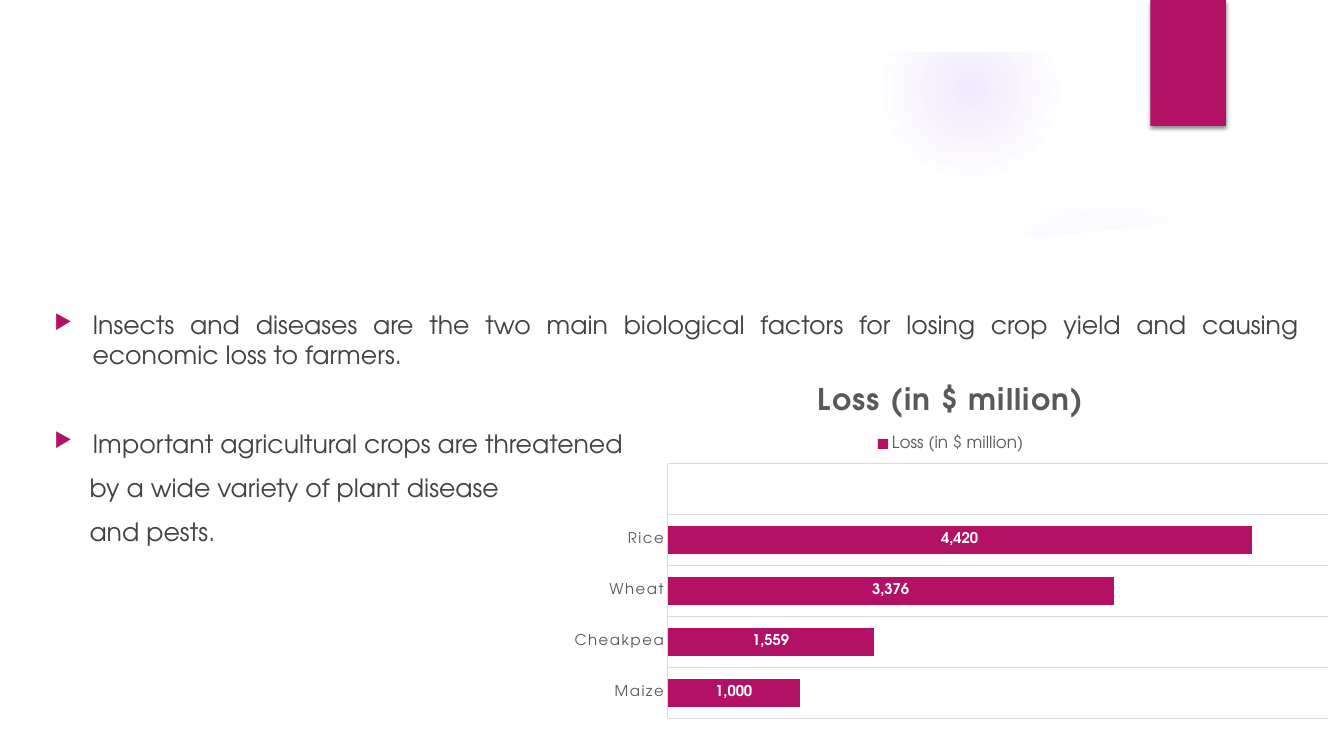
import pptx
import pptx.chart.data
import pptx.dml.color
import pptx.enum.chart
import pptx.enum.shapes
import pptx.enum.text
import pptx.oxml
import pptx.util
from dataclasses import dataclass
from pptx.util import Inches

# Content
POINTS = [
    # text, has bullet, left margin in inches, space before in points
    ("Insects and diseases are the two main biological factors for losing crop "
     "yield and causing economic loss to farmers.", True, 0.38, 0),
    ("Important agricultural crops are threatened", True, 0.38, 41.5),
    ("by a wide variety of plant disease", False, 0.35, 10),
    ("and pests.", False, 0.35, 10),
]
NAME = "Loss (in $ million)"
LOSS = [("Maize", 1000), ("Cheakpea", 1559), ("Wheat", 3376), ("Rice", 4420), ("", None)]

# Glows: box, then stops of position and opacity in percent
GLOWS = [
    ((9.41, 1.83, 3.08, 3.08), [(0, 7), (36, 6), (69, 0)]),
    ((8.75, 0.01, 1.75, 1.75), [(0, 14), (36, 7), (73, 0)]),
]
VEIL = [(9.34, 2.5), (10.5, 2.43), (11.7, 2.3), (12.89, 2.14), (12.83, 1.66),
        (12.13, 1.88), (11.44, 2.06), (10.75, 2.21), (10.1, 2.32), (9.3, 2.43)]
PANEL = [(0.5, 2.04), (0.5, 7), (12.84, 7), (12.84, 2.04), (12, 2.17), (11.16, 2.27),
         (10.32, 2.35), (9.49, 2.41), (8.67, 2.45), (7.86, 2.47), (7.08, 2.48),
         (6.32, 2.47), (5.59, 2.46), (4.88, 2.43), (4.01, 2.38), (3.21, 2.33),
         (2.49, 2.27), (1.87, 2.21), (1.35, 2.15), (0.94, 2.1)]


@dataclass
class Theme:
    font: str = "TeX Gyre Adventor"
    pink: str = "B31166"
    glow: str = "9B6BF2"
    white: str = "FFFFFF"
    text: str = "424242"
    gray: str = "595959"
    rule: str = "D9D9D9"
    body: float = 18
    head: float = 21.3
    key: float = 12
    tick: float = 10.6


T = Theme()
NS = 'xmlns:a="http://schemas.openxmlformats.org/drawingml/2006/main"'
SHAPE = pptx.enum.shapes.MSO_SHAPE


def color(code):
    return pptx.dml.color.RGBColor.from_string(code)


def node(xml):
    """Parse one drawing element."""
    tag, rest = xml[1:].split(" ", 1)
    return pptx.oxml.parse_xml(f"<{tag} {NS} {rest}")


def style(font, size, code, bold=False):
    font.name, font.size, font.bold = T.font, pptx.util.Pt(size), bold
    font.color.rgb = color(code)


def write(para, text, size=T.body, code=T.text, left=0, before=0, bullet=False):
    props = para._p.get_or_add_pPr()
    props.set("marL", str(Inches(left)))
    props.set("indent", str(-Inches(left) if bullet else 0))
    para.alignment = pptx.enum.text.PP_ALIGN.JUSTIFY
    if before:
        para.space_before = pptx.util.Pt(before)
    if bullet:
        for xml in (f'<a:buClr ><a:srgbClr val="{T.pink}"/></a:buClr>',
                    '<a:buSzPct val="80000"/>', '<a:buChar char="▶"/>'):
            props.append(node(xml))
    run = para.add_run()
    run.text = text
    style(run.font, size, code)


def paint(shape, code):
    shape.fill.solid()
    shape.fill.fore_color.rgb = color(code)
    shape.line.fill.background()
    shape.shadow.inherit = False
    return shape


def preset(slide, kind, box, code):
    return paint(slide.shapes.add_shape(kind, *map(Inches, box)), code)


def outline(slide, spots, code):
    unit = 100
    first, *rest = [(x * unit, y * unit) for x, y in spots]
    form = slide.shapes.build_freeform(*first, scale=Inches(1) / unit)
    form.add_line_segments(rest, close=True)
    return paint(form.convert_to_shape(), code)


def backdrop(slide):
    for box, stops in GLOWS:
        spot = preset(slide, SHAPE.OVAL, box, T.glow)
        marks = "".join(
            f'<a:gs pos="{pos * 1000}"><a:srgbClr val="{T.glow}">'
            f'<a:alpha val="{alpha * 1000}"/></a:srgbClr></a:gs>' for pos, alpha in stops)
        solid = spot._element.spPr.find(pptx.oxml.ns.qn("a:solidFill"))
        solid.getparent().replace(solid, node(
            f'<a:gradFill rotWithShape="1"><a:gsLst>{marks}</a:gsLst><a:path path="circle">'
            '<a:fillToRect l="50000" t="50000" r="50000" b="50000"/></a:path></a:gradFill>'))
    veil = outline(slide, VEIL, T.white)
    veil.fill._xPr.find(".//" + pptx.oxml.ns.qn("a:srgbClr")).append(
        node('<a:alpha val="20000"/>'))
    outline(slide, PANEL, T.white)
    frame = preset(slide, SHAPE.FRAME, (0, 0, 13.33, 7.5), T.white)
    frame.adjustments[0] = 0.52 / 7.5

    # Ribbon with a soft shadow
    ribbon = preset(slide, SHAPE.RECTANGLE, (11.41, 0, 0.75, 1.25), T.pink)
    ribbon._element.spPr.find(pptx.oxml.ns.qn("a:effectLst")).append(node(
        '<a:outerShdw blurRad="38100" dist="25400" dir="5400000" rotWithShape="0">'
        '<a:srgbClr val="000000"><a:alpha val="45000"/></a:srgbClr></a:outerShdw>'))


def points(slide):
    frame = slide.shapes.add_textbox(*map(Inches, (0.44, 3.02, 12.54, 4.35))).text_frame
    frame.word_wrap = True
    for i, (text, bullet, left, before) in enumerate(POINTS):
        para = frame.add_paragraph() if i else frame.paragraphs[0]
        write(para, text, bullet=bullet, left=left, before=before)


def graph(slide):
    enum = pptx.enum.chart
    data = pptx.chart.data.CategoryChartData(number_format="#,##0")
    data.categories = [crop for crop, _ in LOSS]
    data.add_series(NAME, [loss for _, loss in LOSS])
    box = (5.53, 3.64, 7.8, 3.56)
    chart = slide.shapes.add_chart(
        enum.XL_CHART_TYPE.BAR_STACKED, *map(Inches, box), data).chart
    style(chart.font, 10, "000000")

    # Title and legend
    chart.has_title = True
    run = chart.chart_title.text_frame.paragraphs[0].add_run()
    run.text = NAME
    style(run.font, T.head, T.gray, bold=True)
    run.font._element.set("spc", "100")
    chart.has_legend = True
    chart.legend.position = enum.XL_LEGEND_POSITION.TOP
    chart.legend.include_in_layout = False
    style(chart.legend.font, T.key, T.gray)

    # Axes
    axis = chart.category_axis
    axis.major_tick_mark = axis.minor_tick_mark = enum.XL_TICK_MARK.NONE
    axis.has_major_gridlines = True
    for line in (axis.format.line, axis.major_gridlines.format.line):
        line.color.rgb, line.width = color(T.rule), pptx.util.Pt(0.75)
    style(axis.tick_labels.font, T.tick, T.gray)
    axis.tick_labels.font._element.set("spc", "120")
    value = chart.value_axis
    value.minimum_scale, value.maximum_scale = 0, 5000
    value.has_major_gridlines = value.visible = False

    # Bars and labels
    plot = chart.plots[0]
    plot.gap_width, plot.overlap, plot.vary_by_categories = 79, 100, False
    bars = plot.series[0]
    bars.format.fill.solid()
    bars.format.fill.fore_color.rgb = color(T.pink)
    tags = bars.data_labels
    tags.show_value, tags.number_format = True, "#,##0"
    tags.number_format_is_linked = False
    tags.position = enum.XL_LABEL_POSITION.CENTER
    style(tags.font, T.tick, T.white, bold=True)

    # Plot area as shares of the chart box
    area = chart._chartSpace.chart.plotArea
    for old in area.findall(pptx.oxml.ns.qn("c:layout")):
        area.remove(old)
    sizes = "".join(f'<c:{k} val="{v}"/>' for k, v in
                    (("x", 0.14), ("y", 0.27), ("w", 0.84), ("h", 0.71)))
    area.insert(0, pptx.oxml.parse_xml(
        '<c:layout xmlns:c="http://schemas.openxmlformats.org/drawingml/2006/chart">'
        '<c:manualLayout><c:layoutTarget val="inner"/><c:xMode val="edge"/>'
        f'<c:yMode val="edge"/>{sizes}</c:manualLayout></c:layout>'))


def main():
    deck = pptx.Presentation()
    deck.slide_width, deck.slide_height = Inches(13.33), Inches(7.5)
    slide = deck.slides.add_slide(deck.slide_layouts[6])
    backdrop(slide)
    points(slide)
    graph(slide)
    deck.save("out.pptx")


if __name__ == "__main__":
    main()
